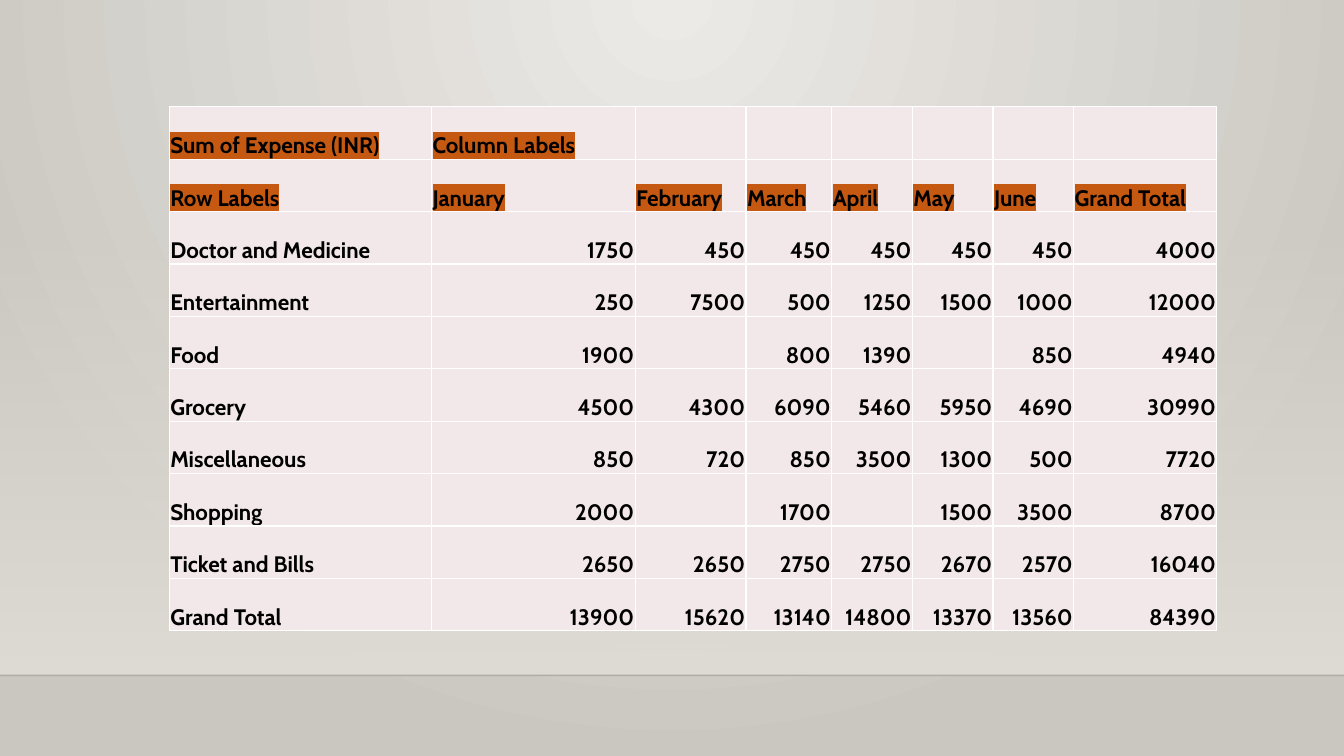
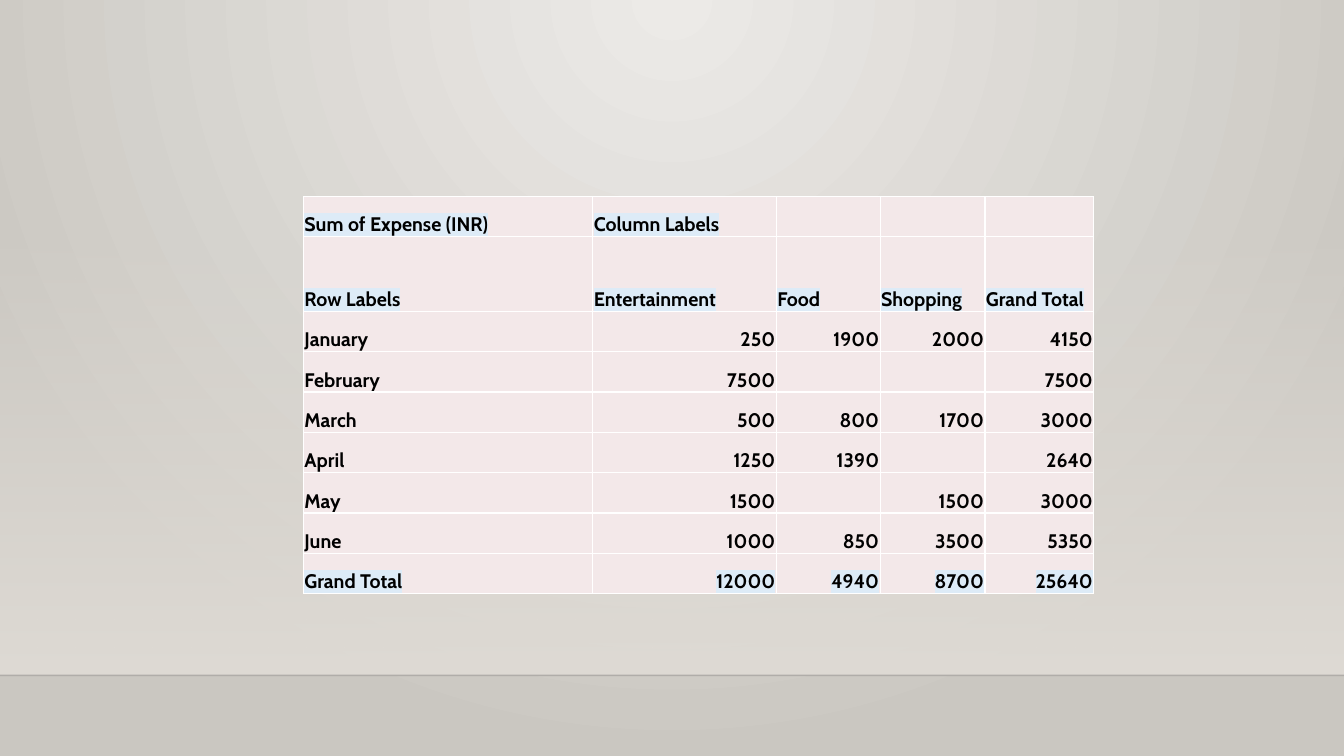
from pptx import Presentation
from pptx.dml.color import RGBColor
from pptx.enum.shapes import MSO_CONNECTOR, MSO_SHAPE
from pptx.enum.text import MSO_ANCHOR, PP_ALIGN
from pptx.oxml import parse_xml
from pptx.oxml.ns import nsdecls, qn
from pptx.util import Inches, Pt
from lxml.etree import SubElement

# Shared look
HUES = {
    "glow": "ECEAE7", "edge": "CAC7C1", "band": "DFDBD5", "floor": "000001",
    "cell": "F3E8E9", "grid": "FFFFFF", "text": "000000",
    "rust": "C65911", "sky": "DDEBF7",
}
FONT = "Cabin"
WIDE, HIGH = Inches(13.33), Inches(7.5)
BAND_TOP, FLOOR = Inches(2.21), Inches(6.7)
INSET = Inches(0.01)

# Tables: a cell per bar, a row per line
MONTHS = """Sum of Expense (INR)|Column Labels||||||
Row Labels|January|February|March|April|May|June|Grand Total
Doctor and Medicine|1750|450|450|450|450|450|4000
Entertainment|250|7500|500|1250|1500|1000|12000
Food|1900||800|1390||850|4940
Grocery|4500|4300|6090|5460|5950|4690|30990
Miscellaneous|850|720|850|3500|1300|500|7720
Shopping|2000||1700||1500|3500|8700
Ticket and Bills|2650|2650|2750|2750|2670|2570|16040
Grand Total|13900|15620|13140|14800|13370|13560|84390"""

KINDS = """Sum of Expense (INR)|Column Labels|||
Row Labels|Entertainment|Food|Shopping|Grand Total
January|250|1900|2000|4150
February|7500|||7500
March|500|800|1700|3000
April|1250|1390||2640
May|1500||1500|3000
June|1000|850|3500|5350
Grand Total|12000|4940|8700|25640"""

PAGES = [
    {"data": MONTHS, "at": (1.68, 1.06), "size": 16, "mark": "rust",
     "marked": {0, 1}, "cols": [2.6, 2.02, 1.1, 0.85, 0.8, 0.8, 0.8, 1.42],
     "rows": [0.52] * 10},
    {"data": KINDS, "at": (3.01, 1.95), "size": 14, "mark": "sky",
     "marked": {0, 1, 8}, "cols": [2.87, 1.82, 1.03, 1.04, 1.08],
     "rows": [0.4, 0.74] + [0.4] * 7},
]


def blend(root, first, last, alpha, course):
    """Swap the first empty fill under root for a two-stop gradient."""
    old = root.xpath(".//a:noFill")[0]
    old.getparent().replace(old, parse_xml(
        f'<a:gradFill {nsdecls("a")} rotWithShape="1"><a:gsLst>'
        f'<a:gs pos="0"><a:srgbClr val="{HUES[first]}">'
        f'<a:alpha val="{alpha}"/></a:srgbClr></a:gs>'
        f'<a:gs pos="100000"><a:srgbClr val="{HUES[last]}"/></a:gs>'
        f'</a:gsLst>{course}</a:gradFill>'))


def rule(cell):
    """Draw the four borders of a cell."""
    for i, side in enumerate("LRTB"):
        cell._tc.get_or_add_tcPr().insert(i, parse_xml(
            f'<a:ln{side} {nsdecls("a")} w="{Pt(1)}"><a:solidFill>'
            f'<a:srgbClr val="{HUES["grid"]}"/></a:solidFill></a:ln{side}>'))


deck = Presentation()
deck.slide_width, deck.slide_height = WIDE, HIGH

# Background of every slide
master = deck.slide_master
master.background.fill.background()
blend(master.element, "glow", "edge", 100000,
      '<a:path path="circle">'
      '<a:fillToRect l="43000" t="0" r="43000" b="100000"/></a:path>')

for page in PAGES:
    slide = deck.slides.add_slide(deck.slide_layouts[6])
    shapes = slide.shapes

    # Wall band and floor line
    band = shapes.add_shape(MSO_SHAPE.RECTANGLE, 0, BAND_TOP, WIDE, FLOOR - BAND_TOP)
    band.shadow.inherit = False
    band.fill.background()
    blend(band.element, "band", "band", 0, '<a:lin ang="5400000" scaled="0"/>')
    band.line.fill.background()

    floor = shapes.add_connector(MSO_CONNECTOR.STRAIGHT, 0, FLOOR, WIDE, FLOOR)
    floor.line.width = Pt(1)
    floor.line.color.rgb = RGBColor.from_string(HUES["floor"])
    tint = floor.element.spPr.xpath(".//a:srgbClr")[0]
    SubElement(tint, qn("a:alpha")).set("val", "20000")
    SubElement(floor.element.spPr, qn("a:effectLst"))

    # Table grid
    cols, rows = page["cols"], page["rows"]
    left, top = page["at"]
    table = shapes.add_table(
        len(rows), len(cols), Inches(left), Inches(top),
        Inches(sum(cols)), Inches(sum(rows))).table
    table.first_row = table.horz_banding = False
    for col, width in zip(table.columns, cols):
        col.width = Inches(width)
    for row, height in zip(table.rows, rows):
        row.height = Inches(height)

    # Cells
    for r, line in enumerate(page["data"].splitlines()):
        for c, word in enumerate(line.split("|")):
            cell = table.cell(r, c)
            cell.fill.solid()
            cell.fill.fore_color.rgb = RGBColor.from_string(HUES["cell"])
            rule(cell)
            cell.vertical_anchor = MSO_ANCHOR.BOTTOM
            cell.margin_left = cell.margin_right = cell.margin_top = INSET
            cell.margin_bottom = 0
            para = cell.text_frame.paragraphs[0]
            para.alignment = PP_ALIGN.RIGHT if word.isdigit() else PP_ALIGN.LEFT
            font = para.font
            font.name, font.size, font.bold = FONT, Pt(page["size"]), True
            font.color.rgb = RGBColor.from_string(HUES["text"])
            if word:
                run = para.add_run()
                run.text = word
                if r in page["marked"]:
                    mark = SubElement(run._r.get_or_add_rPr(), qn("a:highlight"))
                    SubElement(mark, qn("a:srgbClr")).set("val", HUES[page["mark"]])

deck.save("out.pptx")
